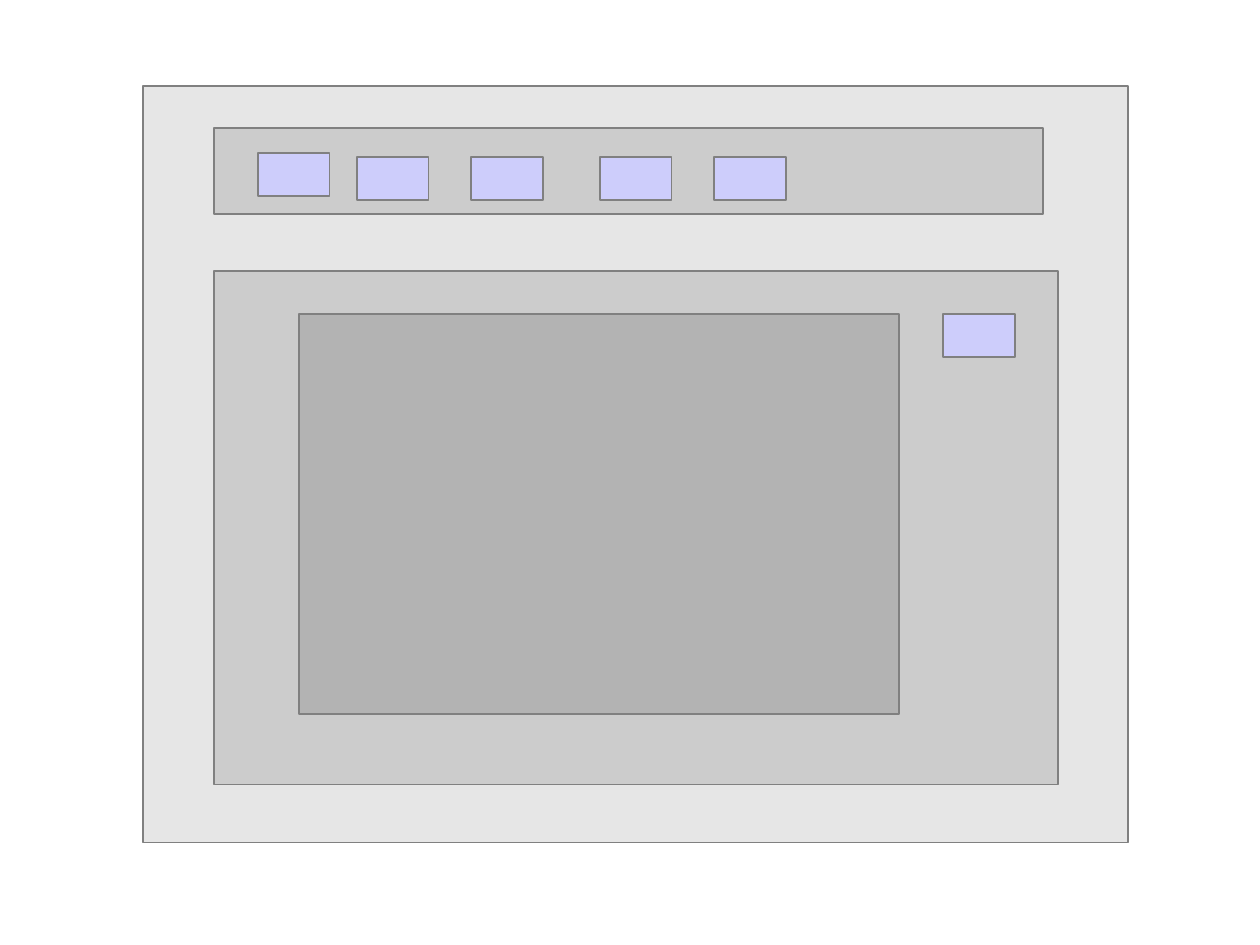
import pptx
import pptx.dml.color
import pptx.enum.shapes
import pptx.util

PX = 8000  # EMU per px

THEME = {
    "window": "E6E6E6",
    "panel": "CCCCCC",
    "button": "CDCDFB",
    "canvas": "B3B3B3",
    "outline": "808080",
    "background": "FFFFFF",
}

deck = pptx.Presentation()
deck.slide_width = pptx.util.Emu(1260 * PX)
deck.slide_height = pptx.util.Emu(945 * PX)
page = deck.slides.add_slide(deck.slide_layouts[6])
page.background.fill.solid()
page.background.fill.fore_color.rgb = pptx.dml.color.RGBColor.from_string(THEME["background"])


def add_box(role, left, top, width, height):
    box = page.shapes.add_shape(
        pptx.enum.shapes.MSO_SHAPE.RECTANGLE,
        *(pptx.util.Emu(length * PX) for length in (left, top, width, height)),
    )
    box.shadow.inherit = False
    box.fill.solid()
    box.fill.fore_color.rgb = pptx.dml.color.RGBColor.from_string(THEME[role])
    box.line.color.rgb = pptx.dml.color.RGBColor.from_string(THEME["outline"])
    box.line.width = pptx.util.Pt(0)


# Window with its toolbar and main panel
add_box("window", 143, 86, 985, 757)
add_box("panel", 214, 128, 829, 86)
add_box("panel", 214, 271, 844, 514)

# Five toolbar buttons, then the one beside the canvas
BUTTON_SIZE = (72, 43)
for left, top in [(258, 153), (357, 157), (471, 157), (600, 157), (714, 157), (943, 314)]:
    add_box("button", left, top, *BUTTON_SIZE)

# Canvas in the main panel
add_box("canvas", 299, 314, 600, 400)

deck.save("out.pptx")
